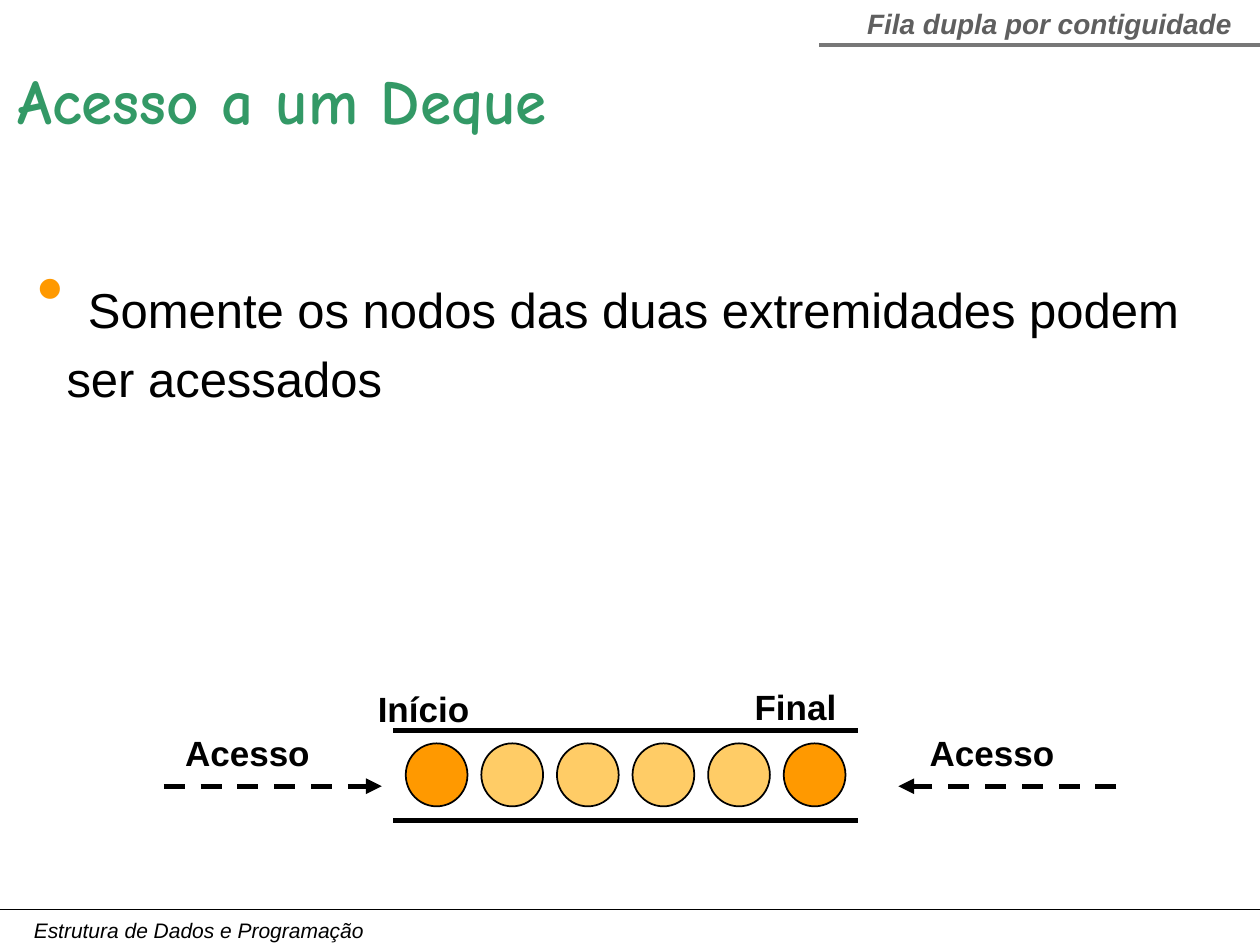
from lxml import etree
from pptx import Presentation
from pptx import util as u
from pptx.dml.color import RGBColor
from pptx.enum import dml, shapes, text
from pptx.oxml.ns import qn

BLACK = RGBColor(0, 0, 0)
GREEN = RGBColor(0x33, 0x99, 0x66)
GRAY = RGBColor(0x5F, 0x5F, 0x5F)
RULE = RGBColor(0x77, 0x77, 0x77)
ORANGE = RGBColor(0xFF, 0x99, 0x00)
LIGHT = RGBColor(0xFF, 0xCC, 0x66)


class Painter:
    face = "Arial"

    def __init__(self, slide):
        self.shapes = slide.shapes

    def style(self, font, size, color=BLACK, bold=False, italic=False, face=None):
        font.name = face or self.face
        font.size = u.Pt(size)
        font.color.rgb = color
        font.bold = bold
        font.italic = italic

    def frame(self, x, y, w, h, wrap=False):
        box = self.shapes.add_textbox(*map(u.Inches, (x, y, w, h)))
        frame = box.text_frame
        frame.word_wrap = wrap
        frame.auto_size = text.MSO_AUTO_SIZE.SHAPE_TO_FIT_TEXT
        return frame

    def label(self, words, x, y, w, h, size, align=text.PP_ALIGN.LEFT, **look):
        para = self.frame(x, y, w, h).paragraphs[0]
        para.text = words
        para.alignment = align
        self.style(para.font, size, **look)

    def bullet(self, words, x, y, w, h):
        """Add a bulleted text whose first run, a space, sizes the bullet."""
        para = self.frame(x, y, w, h, wrap=True).paragraphs[0]
        props = para._p.get_or_add_pPr()
        props.set("marL", str(u.Inches(0.23)))
        props.set("indent", str(-u.Inches(0.23)))
        etree.SubElement(props, qn("a:buChar")).set("char", "•")
        para.line_spacing = 1.07
        for part, size, color in ((" ", 44, ORANGE), (words, 28, BLACK)):
            run = para.add_run()
            run.text = part
            self.style(run.font, size, color)

    def line(self, x1, x2, y, width, color=BLACK):
        rule = self.shapes.add_connector(
            shapes.MSO_CONNECTOR.STRAIGHT, *map(u.Inches, (x1, y, x2, y)))
        rule.line.color.rgb = color
        rule.line.width = u.Pt(width)
        etree.SubElement(rule._element.spPr, qn("a:effectLst"))
        return rule

    def arrow(self, x1, x2, y):
        stroke = self.line(x1, x2, y, 3).line
        stroke.dash_style = dml.MSO_LINE.DASH
        etree.SubElement(stroke._get_or_add_ln(), qn("a:tailEnd")).set("type", "triangle")

    def node(self, x, y, color):
        dot = self.shapes.add_shape(
            shapes.MSO_SHAPE.OVAL, *map(u.Inches, (x, y, 0.49, 0.5)))
        dot.shadow.inherit = False
        dot.fill.solid()
        dot.fill.fore_color.rgb = color
        dot.line.color.rgb = BLACK
        dot.line.width = u.Pt(1)


def main():
    deck = Presentation()
    deck.slide_width, deck.slide_height = u.Inches(10), u.Inches(7.5)
    pen = Painter(deck.slides.add_slide(deck.slide_layouts[6]))

    pen.label("Estrutura de Dados e Programação", 0.17, 7.23, 2.84, 0.3, 12, italic=True)
    pen.line(0, 10, 7.22, 0.75)
    pen.label("Acesso a um Deque", 0.04, 0.44, 4.92, 0.71, 36,
              color=GREEN, bold=True, face="Comic Neue")
    pen.line(6.5, 10, 0.36, 2.25, RULE)
    pen.label("Fila dupla por contiguidade", 6.78, 0, 3.1, 0.37, 16,
              text.PP_ALIGN.CENTER, color=GRAY, bold=True, italic=True)

    count = 6
    for i in range(count):
        pen.node(3.22 + 0.6 * i, 5.9, ORANGE if i in (0, count - 1) else LIGHT)
    for y in (5.8, 6.51):
        pen.line(3.12, 6.81, y, 3)

    for words, x, y, w in (("Início", 2.9, 5.41, 0.93), ("Final", 5.89, 5.39, 0.85),
                           ("Acesso", 1.37, 5.76, 1.19), ("Acesso", 7.28, 5.76, 1.19)):
        pen.label(words, x, y, w, 0.44, 20, bold=True)
    for start, end in ((1.3, 3.03), (8.86, 7.13)):
        pen.arrow(start, end, 6.24)

    pen.bullet("Somente os nodos das duas extremidades podem ser acessados",
               0.2, 1.9, 9.8, 1.77)
    deck.save("out.pptx")


if __name__ == "__main__":
    main()
